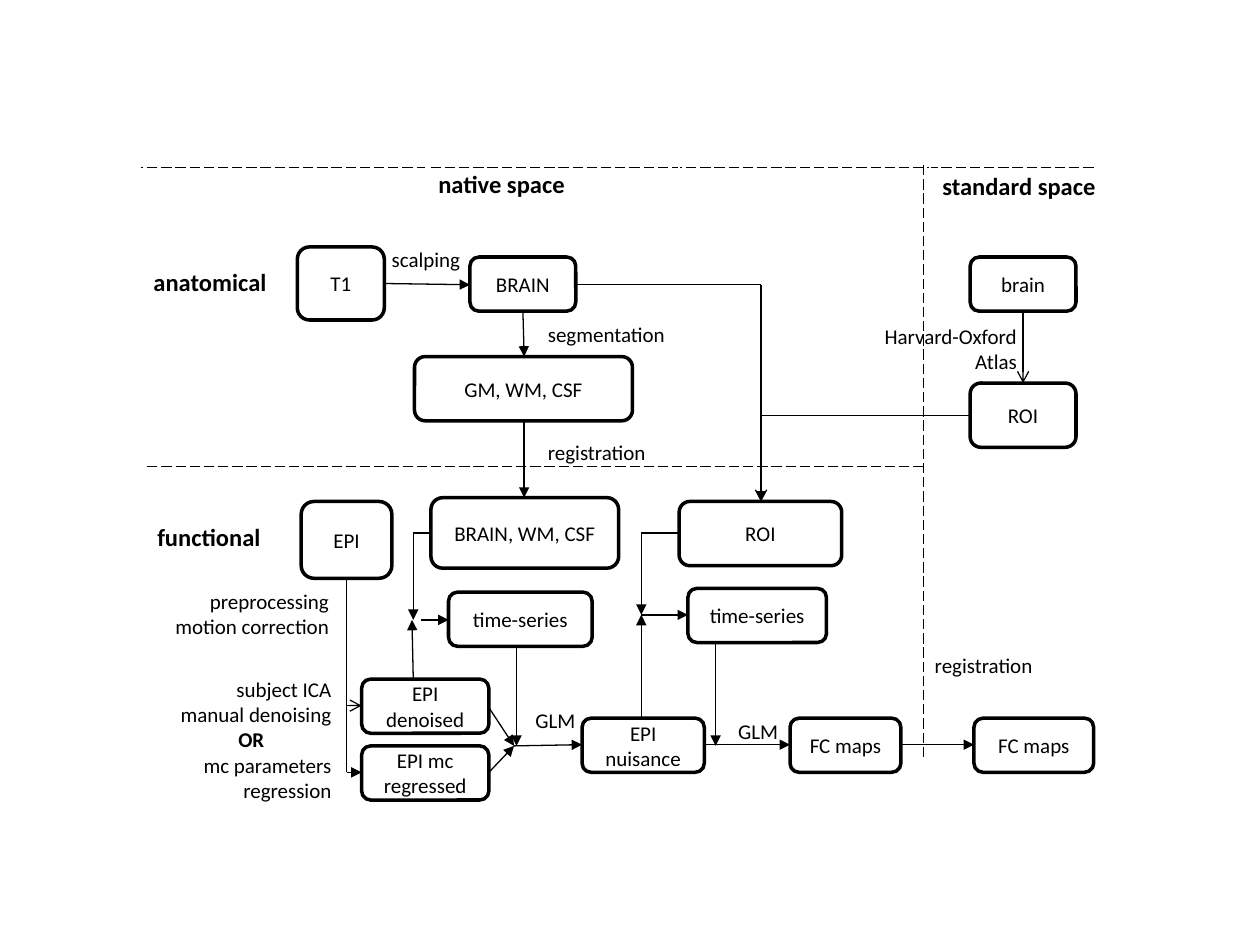
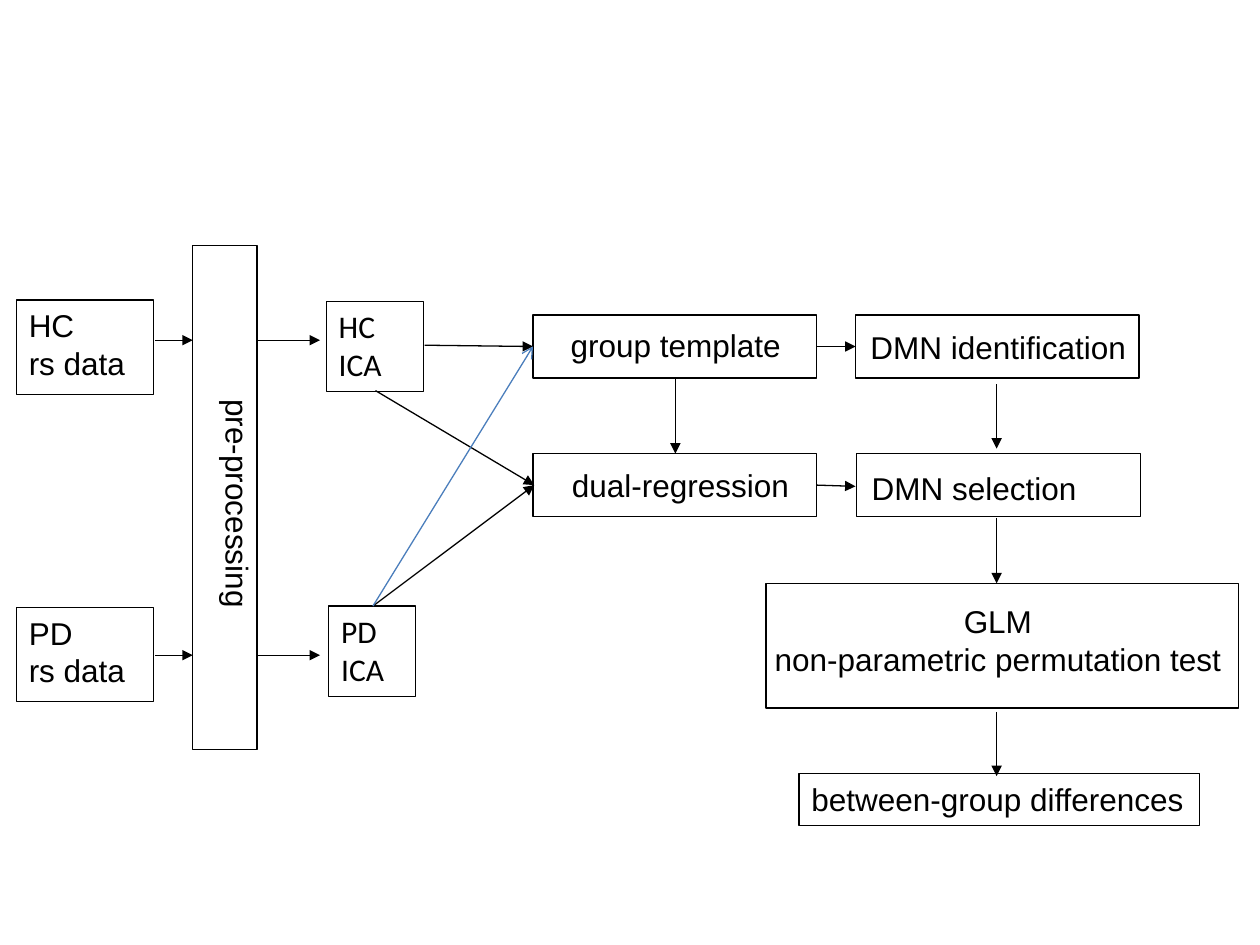
from lxml import etree
from pptx import Presentation
from pptx.dml.color import RGBColor
from pptx.enum.dml import MSO_LINE
from pptx.enum.shapes import MSO_CONNECTOR, MSO_SHAPE
from pptx.enum.text import MSO_ANCHOR, MSO_AUTO_SIZE, PP_ALIGN
from pptx.oxml.ns import qn
from pptx.util import Inches, Pt

ROUND, RECT = MSO_SHAPE.ROUNDED_RECTANGLE, MSO_SHAPE.RECTANGLE
LINE, DASH = MSO_CONNECTOR.STRAIGHT, MSO_LINE.LONG_DASH
LEFT, MID, RIGHT = PP_ALIGN.LEFT, PP_ALIGN.CENTER, PP_ALIGN.RIGHT
TOP, CORE = MSO_ANCHOR.TOP, MSO_ANCHOR.MIDDLE
GROW, FIXED = MSO_AUTO_SIZE.SHAPE_TO_FIT_TEXT, MSO_AUTO_SIZE.NONE

COLORS = {"ink": "000000", "paper": "FFFFFF", "blue": "4B7EBC"}
THIN = 0.75
SMALL = {"name": "Calibri", "size": Pt(12)}
TITLE = {"name": "Calibri", "size": Pt(14), "bold": True}
LARGE = {"name": "Arial", "size": Pt(18)}
FIT = {"word_wrap": False, "auto_size": GROW, "vertical_anchor": TOP}
OPEN = {"word_wrap": True, "auto_size": FIXED, "vertical_anchor": TOP}
CENTER = {**OPEN, "vertical_anchor": CORE}

STYLES = {
    "node": {"form": ROUND, "fill": "paper", "line": "ink", "width": 2,
             "font": SMALL, "frame": CENTER, "align": MID},
    "title": {"form": RECT, "line": "paper", "width": THIN,
              "font": TITLE, "frame": OPEN, "align": LEFT},
    "note": {"font": SMALL, "frame": FIT, "align": LEFT},
    "side": {"font": SMALL, "frame": FIT, "align": RIGHT},
    "list": {"font": SMALL, "frame": OPEN, "align": RIGHT},
    "step": {"form": RECT, "line": "ink", "width": THIN,
             "font": LARGE, "frame": OPEN, "align": LEFT},
    "ica": {"form": RECT, "line": "ink", "width": THIN,
            "font": {**LARGE, "name": "Calibri"}, "frame": OPEN,
            "align": LEFT},
    "text": {"font": LARGE, "frame": OPEN, "align": LEFT},
    "mid": {"font": LARGE, "frame": OPEN, "align": MID},
}


def color(name):
    """Return a named colour."""
    return RGBColor.from_string(COLORS[name])


def apply(item, values):
    """Set each named value on the item."""
    for name, value in values.items():
        setattr(item, name, value)


def write(shape, text, style):
    """Write the lines of text in the given style."""
    frame = shape.text_frame
    apply(frame, style["frame"])
    frame.text = text
    for para in frame.paragraphs:
        para.alignment = style["align"]
        for run in para.runs:
            apply(run.font, style["font"])
            run.font.color.rgb = color("ink")


def put(slide, box, spot, text, kind):
    """Place a shape or text box at a spot inside the box."""
    style = STYLES[kind]
    left, top, width, height = spot
    area = [Inches(v) for v in (box[0] + left, box[1] + top, width, height)]
    if "form" in style:
        shape = slide.shapes.add_shape(style["form"], *area)
        shape.shadow.inherit = False
        shape.line.color.rgb = color(style["line"])
        shape.line.width = Pt(style["width"])
        if "fill" in style:
            shape.fill.solid()
            shape.fill.fore_color.rgb = color(style["fill"])
        else:
            shape.fill.background()
    else:
        shape = slide.shapes.add_textbox(*area)
    if text:
        write(shape, text, style)
    return shape


def fill(slide, box, parts):
    """Place several parts, given as kind, text and spot."""
    for kind, text, *spot in parts:
        put(slide, box, spot, text, kind)


def route(slide, box, points, head="triangle", ink="ink", dash=None):
    """Join the points with straight lines and put a head on the last."""
    for start, end in zip(points, points[1:]):
        ends = [Inches(box[i] + p[i]) for p in (start, end) for i in (0, 1)]
        link = slide.shapes.add_connector(LINE, *ends)
        link.line.color.rgb = color(ink)
        link.line.width = Pt(THIN)
        if dash:
            link.line.dash_style = dash
        if head and end == points[-1]:
            etree.SubElement(link.line._get_or_add_ln(), qn("a:tailEnd"),
                             type=head)
        etree.SubElement(link._element.spPr, qn("a:effectLst"))


def link(slide, box, paths):
    """Draw several routes with triangle heads."""
    for points in paths:
        route(slide, box, points)


def grid(slide, box):
    """Draw the dashed borders and titles of the spaces."""
    for points in ([(6.33, 0.31), (6.33, 5.02)], [(6.33, 2.7), (0.15, 2.7)],
                   [(7.68, 0.33), (0.12, 0.33)]):
        route(slide, box, points, None, dash=DASH)
    fill(slide, box, [
        ("title", "native space", 2.38, 0.29, 2.01, 0.34),
        ("title", "standard space", 6.38, 0.31, 1.79, 0.34),
        ("title", "anatomical", 0.12, 1.07, 1.4, 0.34),
        ("title", "functional", 0.15, 3.09, 1.4, 0.34),
    ])


def anatomy(slide, box):
    """Draw the anatomical steps in native space."""
    fill(slide, box, [
        ("node", "T1", 1.36, 0.96, 0.69, 0.58),
        ("node", "BRAIN", 2.73, 1.04, 0.84, 0.43),
        ("node", "GM, WM, CSF", 2.29, 1.83, 1.73, 0.51),
        ("note", "scalping", 2.01, 0.91, 0.75, 0.3),
        ("note", "segmentation", 3.25, 1.5, 1.14, 0.3),
        ("note", "registration", 3.25, 2.44, 0.99, 0.3),
    ])
    link(slide, box, [
        [(2.05, 1.25), (2.73, 1.26)],
        [(3.15, 1.47), (3.16, 1.83)],
        [(3.16, 2.34), (3.16, 2.95)],
        [(3.58, 1.26), (5.04, 1.26), (5.04, 2.98)],
    ])


def standard(slide, box):
    """Draw the standard space and its way back to native space."""
    fill(slide, box, [
        ("node", "brain", 0.7, 1.04, 0.84, 0.43),
        ("node", "ROI", 0.7, 2.04, 0.84, 0.51),
        ("node", "FC maps", 0.73, 4.7, 0.95, 0.43),
        ("side", "Harvard-Oxford\nAtlas", -0.09, 1.52, 1.26, 0.5),
        ("note", "registration", 0.32, 4.13, 0.99, 0.3),
    ])
    route(slide, box, [(1.12, 1.47), (1.12, 2.04)], "arrow")
    route(slide, box, [(0.7, 2.3), (-0.96, 2.3), (-0.96, 2.98)], "arrow")
    route(slide, box, [(0.15, 4.91), (0.73, 4.91)])


def clean(slide, box):
    """Draw the preprocessing of the functional data."""
    fill(slide, box, [
        ("node", "EPI", 1.39, 0.98, 0.72, 0.61),
        ("node", "EPI denoised", 1.87, 2.39, 1.01, 0.43),
        ("node", "EPI mc regressed", 1.87, 2.92, 1.01, 0.43),
        ("side", "preprocessing\nmotion correction", 0.27, 1.62, 1.44, 0.5),
    ])
    notes = put(slide, box, (0.26, 2.32, 1.47, 1.11),
                "subject ICA\nmanual denoising\nOR\nmc parameters\nregression",
                "list")
    choice = notes.text_frame.paragraphs[2]
    choice.alignment = MID
    choice.runs[0].font.bold = True
    route(slide, box, [(1.75, 1.58), (1.75, 3.13), (1.87, 3.13)])
    route(slide, box, [(1.75, 2.6), (1.87, 2.6)], "arrow")


def model(slide, box):
    """Draw the time series and the regression models."""
    fill(slide, box, [
        ("node", "BRAIN, WM, CSF", 2.42, 0.95, 1.49, 0.56),
        ("node", "time-series", 2.56, 1.7, 1.14, 0.43),
        ("node", "ROI", 4.39, 0.98, 1.29, 0.51),
        ("node", "time-series", 4.46, 1.67, 1.1, 0.43),
        ("node", "EPI\nnuisance", 3.62, 2.7, 0.97, 0.43),
        ("node", "FC maps", 5.27, 2.7, 0.88, 0.43),
        ("note", "GLM", 3.15, 2.57, 0.52, 0.3),
        ("note", "GLM", 4.76, 2.65, 0.52, 0.3),
    ])
    link(slide, box, [
        [(2.42, 1.23), (2.28, 1.23), (2.28, 1.92)],
        [(2.28, 2.39), (2.27, 1.92)],
        [(2.34, 1.92), (2.56, 1.92)],
        [(3.1, 2.14), (3.1, 2.92)],
        [(2.87, 2.6), (3.08, 2.92)],
        [(2.88, 3.13), (3.08, 2.92)],
        [(3.08, 2.92), (3.62, 2.91)],
        [(4.39, 1.23), (4.09, 1.23), (4.09, 1.88)],
        [(4.09, 2.7), (4.09, 1.88)],
        [(4.09, 1.88), (4.46, 1.88)],
        [(4.68, 2.1), (4.68, 2.92)],
        [(4.59, 2.91), (5.27, 2.91)],
    ])


def groups(slide, box):
    """Draw both groups from data through pre-processing to ICA."""
    fill(slide, box, [
        ("step", "", 1.53, 0, 0.51, 4),
        ("text", "pre-processing", 1.61, 1.12, 0.48, 2.25),
        ("step", "HC\nrs data", 0.13, 0.43, 1.09, 0.75),
        ("step", "PD\nrs data", 0.13, 2.87, 1.09, 0.75),
        ("ica", "HC\nICA", 2.59, 0.44, 0.77, 0.72),
        ("ica", "PD\nICA", 2.61, 2.86, 0.69, 0.72),
    ])
    label = slide.shapes[1]
    label.text_frame._txBody.bodyPr.set("vert", "eaVert")
    for row in (0.75, 3.25):
        link(slide, box, [[(1.23, row), (1.53, row)],
                          [(2.04, row), (2.54, row)]])


def compare(slide, box):
    """Draw the template, regression and test steps."""
    fill(slide, box, [
        ("step", "", 0.23, 0.5, 2.25, 0.5),
        ("text", "group template", 0.43, 0.54, 2.25, 0.41),
        ("step", "", 0.23, 1.6, 2.25, 0.5),
        ("text", "dual-regression", 0.44, 1.65, 2.09, 0.41),
        ("step", "", 2.79, 0.5, 2.25, 0.5),
        ("text", "DMN identification", 2.81, 0.55, 2.25, 0.41),
        ("step", "", 2.8, 1.6, 2.25, 0.5),
        ("text", "DMN selection", 2.82, 1.67, 2.25, 0.41),
        ("step", "", 2.08, 2.63, 3.75, 0.99),
        ("mid", "GLM\nnon-parametric permutation test", 1.92, 2.73, 4, 0.72),
        ("step", "between-group differences", 2.34, 4.14, 3.18, 0.41),
    ])
    link(slide, box, [
        [(-0.63, 0.74), (0.23, 0.75)],
        [(-1.02, 1.1), (0.24, 1.85)],
        [(-1.04, 2.81), (0.24, 1.85)],
        [(1.36, 1), (1.36, 1.6)],
        [(2.48, 0.75), (2.79, 0.75)],
        [(2.48, 1.85), (2.79, 1.86)],
        [(3.91, 1.05), (3.91, 1.56)],
        [(3.91, 2.11), (3.91, 2.63)],
        [(3.91, 3.65), (3.91, 4.16)],
    ])
    route(slide, box, [(-1.04, 2.81), (0.23, 0.75)], "arrow", "blue")


def main():
    """Build and save both slides."""
    deck = Presentation()
    deck.slide_width, deck.slide_height = Inches(10), Inches(7.5)
    pages = (
        [(grid, (1, 1)), (anatomy, (1, 1)), (standard, (7, 1)),
         (clean, (1, 3)), (model, (1, 3))],
        [(groups, (0, 1.95)), (compare, (4, 2))],
    )
    for parts in pages:
        slide = deck.slides.add_slide(deck.slide_layouts[6])
        for draw, box in parts:
            draw(slide, box)
    deck.save("out.pptx")


if __name__ == "__main__":
    main()
